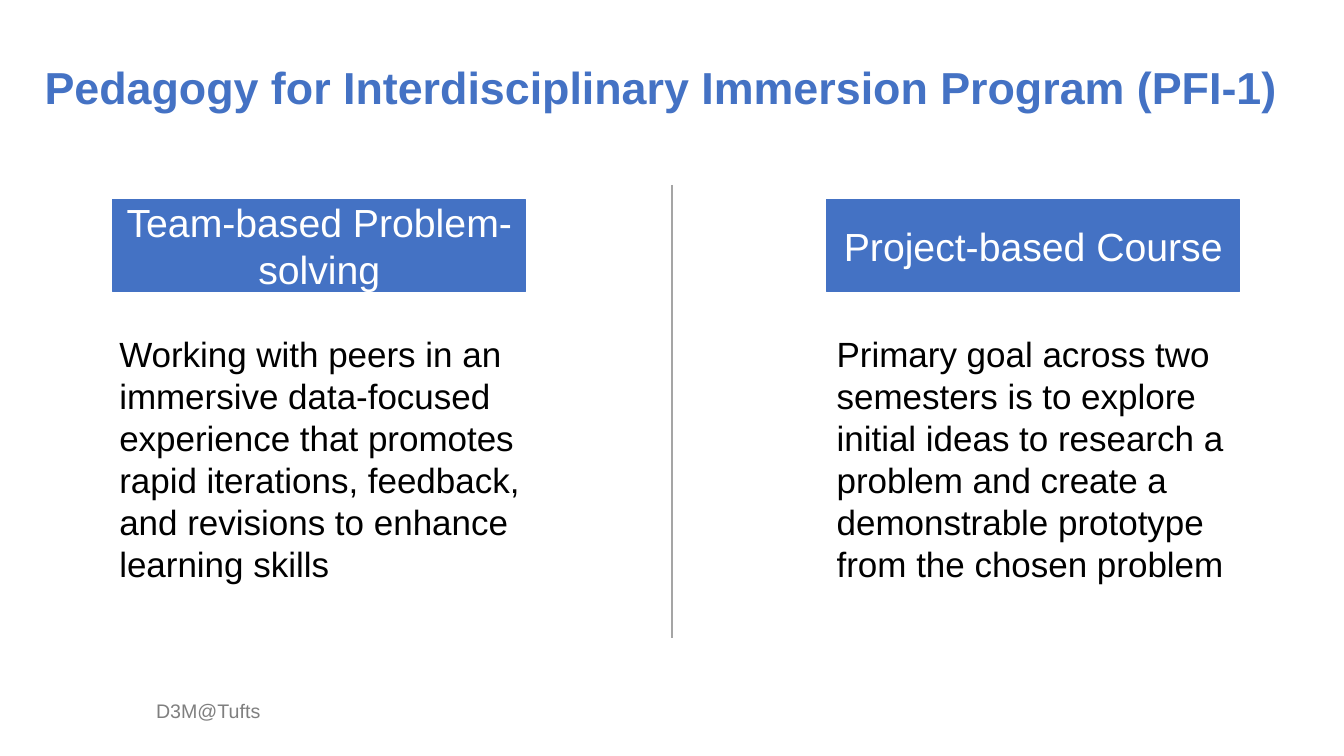
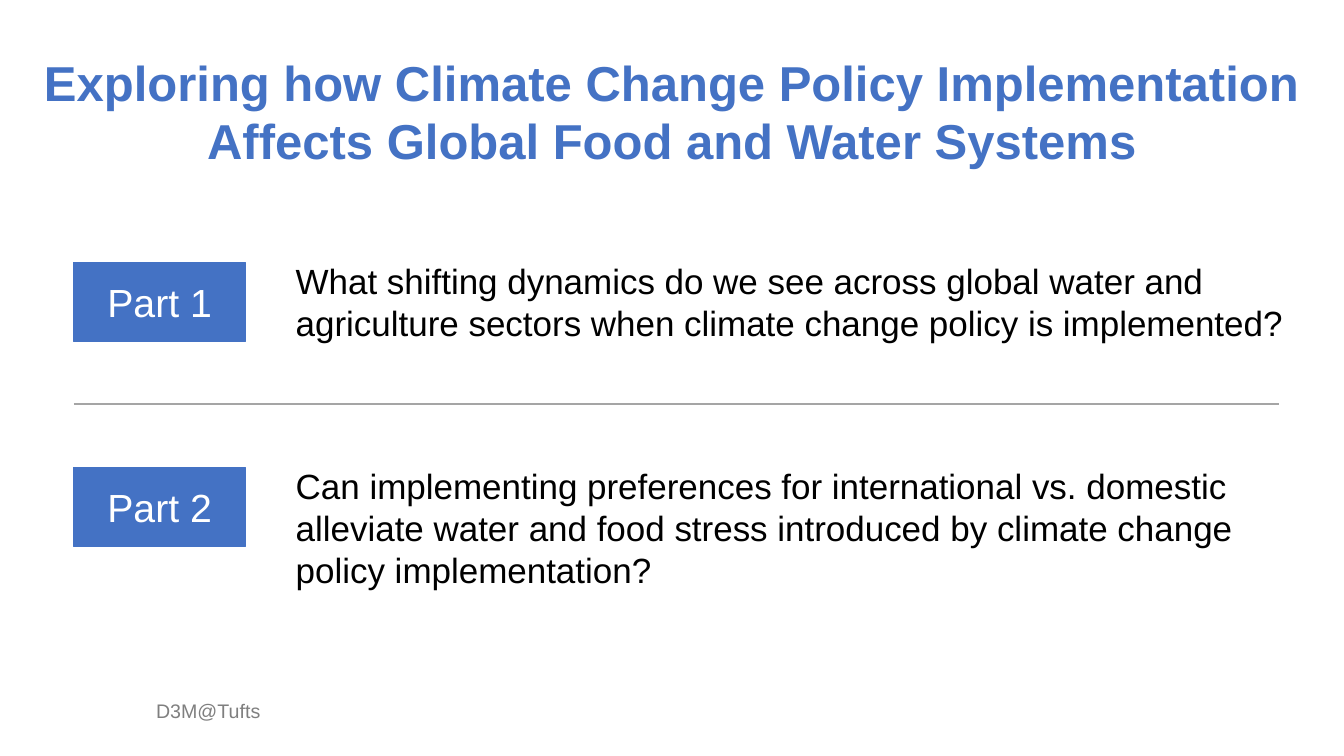
import pptx
import pptx.util
import pptx.dml.color
import pptx.enum.shapes
import pptx.enum.text
import lxml.etree

BLUE = pptx.dml.color.RGBColor(0x44, 0x72, 0xC4)
WHITE = pptx.dml.color.RGBColor(0xFF, 0xFF, 0xFF)
BLACK = pptx.dml.color.RGBColor(0x00, 0x00, 0x00)
RULE_GRAY = pptx.dml.color.RGBColor(0xA5, 0xA5, 0xA5)
FOOTER_GRAY = pptx.dml.color.RGBColor(0x7F, 0x7F, 0x7F)

ALIGN = pptx.enum.text.PP_ALIGN
ANCHOR = pptx.enum.text.MSO_ANCHOR
FONT = "Arial"
LEADING = 1.2
LABEL_SIZE = 28
BODY_SIZE = 25
COLUMNS, ROWS = 160, 90


class Deck:
    def __init__(self):
        self.prs = pptx.Presentation()
        self.prs.slide_width = pptx.util.Inches(13.33)
        self.prs.slide_height = pptx.util.Inches(7.5)
        self.layout = self.prs.slide_layouts.get_by_name("Two Content")
        self.slide = None
        self.bodies = None

    def grid(self, left, top, width, height):
        column = self.prs.slide_width / COLUMNS
        row = self.prs.slide_height / ROWS
        return [round(length) for length in
                (left * column, top * row, width * column, height * row)]

    def fill_text(self, shape, text, size, color, align=ALIGN.LEFT,
                  anchor=ANCHOR.TOP, bold=False, inset=0.1):
        frame = shape.text_frame
        frame.text = text
        frame.word_wrap = True
        frame.auto_size = pptx.enum.text.MSO_AUTO_SIZE.NONE
        frame.vertical_anchor = anchor
        frame.margin_left = frame.margin_right = pptx.util.Inches(0.1)
        frame.margin_top = frame.margin_bottom = pptx.util.Inches(inset)
        paragraph = frame.paragraphs[0]
        paragraph.alignment = align
        paragraph.space_before = pptx.util.Pt(0)
        paragraph.line_spacing = pptx.util.Pt(size * LEADING)
        font = paragraph.runs[0].font
        font.name, font.size, font.bold = FONT, pptx.util.Pt(size), bold
        font.color.rgb = color
        return paragraph

    def place(self, shape, box):
        shape.left, shape.top, shape.width, shape.height = self.grid(*box)

    def start(self, heading, box, size, align):
        self.slide = self.prs.slides.add_slide(self.layout)
        title, *bodies = self.slide.placeholders
        self.bodies = iter(bodies)
        self.place(title, box)
        self.fill_text(title, heading, size, BLUE, align, bold=True)

    def body(self, text, *box):
        placeholder = next(self.bodies)
        self.place(placeholder, box)
        paragraph = self.fill_text(placeholder, text, BODY_SIZE, BLACK)
        properties = paragraph._p.get_or_add_pPr()
        properties.set("marL", "0")
        properties.set("indent", "0")
        lxml.etree.SubElement(properties, pptx.oxml.ns.qn("a:buNone"))

    def label(self, text, *box):
        rectangle = self.slide.shapes.add_shape(
            pptx.enum.shapes.MSO_SHAPE.RECTANGLE, *self.grid(*box))
        rectangle.shadow.inherit = False
        rectangle.fill.solid()
        rectangle.fill.fore_color.rgb = BLUE
        rectangle.line.color.rgb = BLUE
        rectangle.line.width = pptx.util.Pt(0.75)
        self.fill_text(rectangle, text, LABEL_SIZE, WHITE,
                       ALIGN.CENTER, ANCHOR.MIDDLE)

    def divider(self, left, top, right, bottom):
        rule = self.slide.shapes.add_connector(
            pptx.enum.shapes.MSO_CONNECTOR.STRAIGHT,
            *self.grid(left, top, right, bottom))
        rule.line.color.rgb = RULE_GRAY
        rule.line.width = pptx.util.Pt(1.5)
        lxml.etree.SubElement(rule._element.spPr, pptx.oxml.ns.qn("a:effectLst"))

    def layout_footer(self, text, *box):
        footer = self.slide.shapes.add_textbox(*self.grid(*box))
        paragraph = self.fill_text(footer, text, 14, FOOTER_GRAY, inset=0.05)
        paragraph.line_spacing = 0.8
        self.layout.shapes.element.append(footer._element)


def pedagogy(deck):
    deck.start("Pedagogy for Interdisciplinary Immersion Program (PFI-1)",
               (4.1, 5.9, 150.5, 7.5), 32, ALIGN.LEFT)
    approaches = [
        ("Team-based Problem-solving", 13.4, 13, 50.4,
         "Working with peers in an immersive data-focused experience that "
         "promotes rapid iterations, feedback, and revisions to enhance "
         "learning skills"),
        ("Project-based Course", 98.4, 98.4, 49.2,
         "Primary goal across two semesters is to explore initial ideas to "
         "research a problem and create a demonstrable prototype from the "
         "chosen problem"),
    ]
    for approach, label_left, text_left, text_width, description in approaches:
        deck.label(approach, label_left, 23.8, 49.2, 10.9)
        deck.body(description, text_left, 38.4, text_width, 32.8)
    deck.divider(80, 22, 80, 76)


def climate_questions(deck):
    deck.start("Exploring how Climate Change Policy Implementation "
               "Affects Global Food and Water Systems",
               (3.6, 5, 152.9, 10.3), 35, ALIGN.CENTER)
    questions = [
        ("What shifting dynamics do we see across global water and agriculture "
         "sectors when climate change policy is implemented?", 12.5),
        ("Can implementing preferences for international vs. domestic alleviate "
         "water and food stress introduced by climate change policy "
         "implementation?", 17.5),
    ]
    for index, (question, height) in enumerate(questions):
        top = 31.2 + index * 24.4
        deck.label(f"Part {index + 1}", 8.8, top, 20.4, 9.5)
        deck.body(question, 34, top - 1.5, 122.5, height)
    deck.divider(8.8, 48.1, 152.3, 48.1)


def main():
    deck = Deck()
    pedagogy(deck)
    deck.layout_footer("D3M@Tufts", 17.4, 83.2, 91.6, 3.6)
    climate_questions(deck)
    deck.prs.save("out.pptx")


if __name__ == "__main__":
    main()
